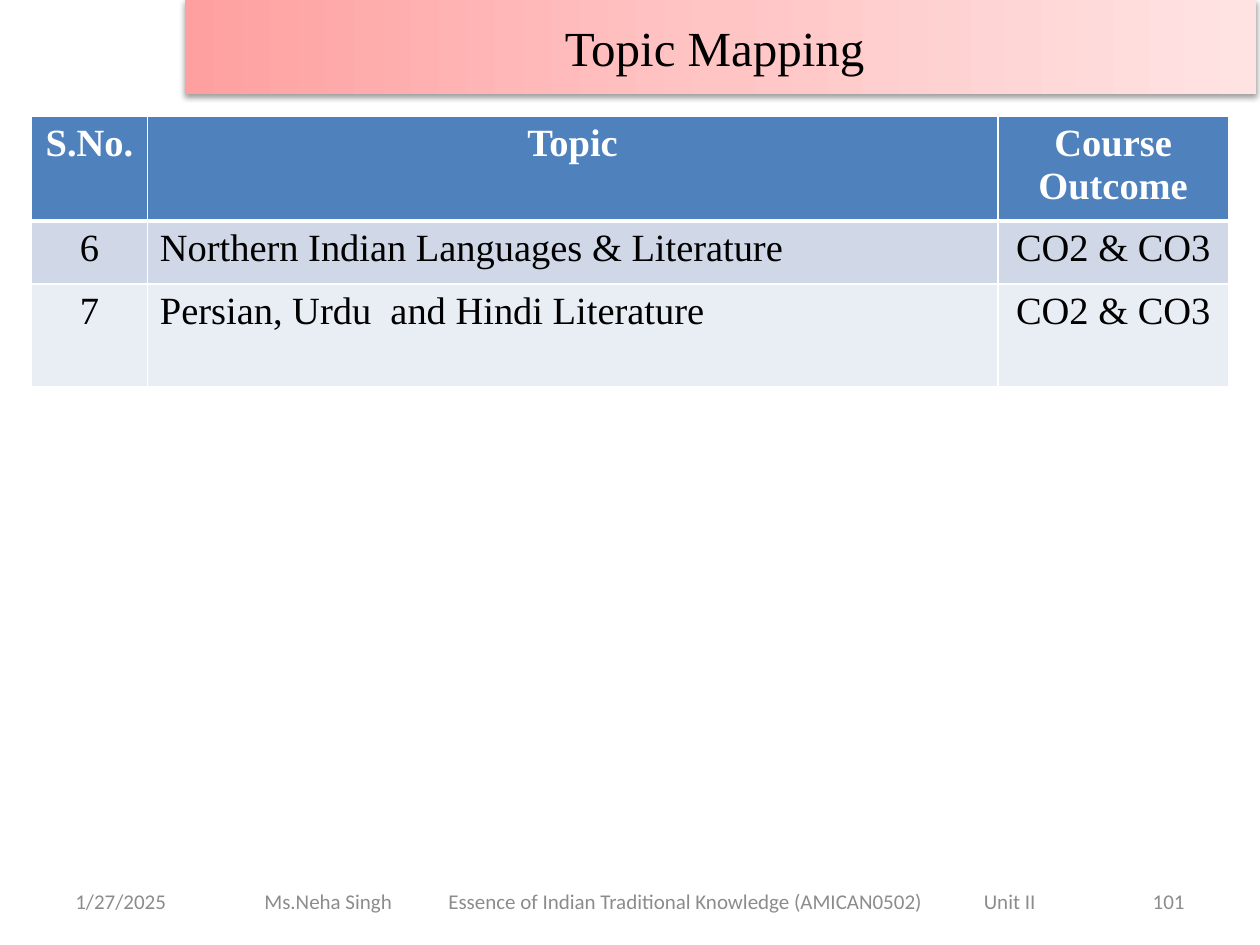
from pptx import Presentation
from pptx.dml.color import RGBColor
from pptx.enum.text import MSO_ANCHOR, MSO_AUTO_SIZE, PP_ALIGN
from pptx.oxml import parse_xml
from pptx.oxml.ns import nsdecls
from pptx.util import Inches, Pt

BLACK = RGBColor(0x00, 0x00, 0x00)
WHITE = RGBColor(0xFF, 0xFF, 0xFF)
GRAY = RGBColor(0x8C, 0x8C, 0x8C)
BLUE = RGBColor(0x4F, 0x81, 0xBD)
BAND_DARK = RGBColor(0xD0, 0xD8, 0xE8)
BAND_LIGHT = RGBColor(0xE9, 0xED, 0xF4)
BANNER_STOPS = [
    (0, RGBColor(0xFF, 0xA0, 0xA0)),
    (50, RGBColor(0xFF, 0xC5, 0xC5)),
    (100, RGBColor(0xFF, 0xE3, 0xE3)),
]

TITLE_FONT = {"name": "Times New Roman", "size": Pt(28)}
TABLE_FONT = {"name": "Times New Roman", "size": Pt(22)}
FOOTER_FONT = {"name": "Calibri", "size": Pt(12)}

COLUMN_WIDTHS = [0.92, 6.75, 1.83]
ROW_HEIGHTS = [0.82, 0.5, 0.82]
ROW_FILLS = [BLUE, BAND_DARK, BAND_LIGHT]
ROWS = [
    ["S.No.", "Topic", "Course Outcome"],
    ["6", "Northern Indian Languages & Literature", "CO2 & CO3"],
    ["7", "Persian, Urdu  and Hindi Literature ", "CO2 & CO3"],
]


def write_text(text_frame, text, alignment, font_format, color):
    text_frame.text = text
    paragraph = text_frame.paragraphs[0]
    paragraph.alignment = alignment
    for name, value in font_format.items():
        setattr(paragraph.font, name, value)
    paragraph.font.color.rgb = color
    return paragraph


def add_banner(slide, text):
    title = slide.shapes.title
    position = {"left": 1.47, "top": 0, "width": 8.5, "height": 0.75}
    for name, value in position.items():
        setattr(title, name, Inches(value))
    stops = "".join(
        f'<a:gs pos="{percent * 1000}"><a:srgbClr val="{color}"/></a:gs>'
        for percent, color in BANNER_STOPS
    )
    properties = title._element.spPr
    properties.append(parse_xml(
        f'<a:gradFill {nsdecls("a")} rotWithShape="1"><a:gsLst>{stops}</a:gsLst>'
        '<a:lin ang="0" scaled="0"/></a:gradFill>'
    ))
    properties.append(parse_xml(
        f'<a:effectLst {nsdecls("a")}>'
        f'<a:outerShdw blurRad="{Pt(3.1)}" dist="{Pt(1.6)}" dir="5400000" rotWithShape="0">'
        f'<a:srgbClr val="{BLACK}"><a:alpha val="38000"/></a:srgbClr>'
        '</a:outerShdw></a:effectLst>'
    ))
    text_frame = title.text_frame
    text_frame.auto_size = MSO_AUTO_SIZE.NONE
    text_frame.vertical_anchor = MSO_ANCHOR.MIDDLE
    write_text(text_frame, text, PP_ALIGN.CENTER, TITLE_FONT, BLACK)


def add_cell_borders(cell, bottom_width):
    properties = cell._tc.get_or_add_tcPr()
    widths = {"lnL": 1, "lnR": 1, "lnT": 1, "lnB": bottom_width}
    for index, (side, width) in enumerate(widths.items()):
        properties.insert(index, parse_xml(
            f'<a:{side} {nsdecls("a")} w="{Pt(width)}"><a:solidFill>'
            f'<a:srgbClr val="{WHITE}"/></a:solidFill></a:{side}>'
        ))


def add_topic_table(slide):
    table = slide.shapes.add_table(
        len(ROWS), len(COLUMN_WIDTHS), Inches(0.25), Inches(0.92),
        Inches(sum(COLUMN_WIDTHS)), Inches(sum(ROW_HEIGHTS)),
    ).table
    for column, width in zip(table.columns, COLUMN_WIDTHS):
        column.width = Inches(width)
    for row_index, texts in enumerate(ROWS):
        table.rows[row_index].height = Inches(ROW_HEIGHTS[row_index])
        is_header = row_index == 0
        for column_index, text in enumerate(texts):
            cell = table.cell(row_index, column_index)
            cell.fill.solid()
            cell.fill.fore_color.rgb = ROW_FILLS[row_index]
            is_topic = column_index == 1 and not is_header
            write_text(
                cell.text_frame, text,
                PP_ALIGN.JUSTIFY if is_topic else PP_ALIGN.CENTER,
                {**TABLE_FONT, "bold": is_header},
                WHITE if is_header else BLACK,
            )
            add_cell_borders(cell, 3 if is_header else 1)


def add_footer(slide, left, width, text, alignment, tab_stops=()):
    box = slide.shapes.add_textbox(Inches(left), Inches(6.95), Inches(width), Inches(0.4))
    text_frame = box.text_frame
    text_frame.word_wrap = True
    text_frame.vertical_anchor = MSO_ANCHOR.MIDDLE
    paragraph = write_text(text_frame, text, alignment, FOOTER_FONT, GRAY)
    if tab_stops:
        tabs = "".join(f'<a:tab pos="{Inches(stop)}" algn="l"/>' for stop in tab_stops)
        properties = paragraph._p.get_or_add_pPr()
        properties.insert(0, parse_xml(f'<a:tabLst {nsdecls("a")}>{tabs}</a:tabLst>'))


def main():
    presentation = Presentation()
    presentation.slide_width = Inches(10)
    presentation.slide_height = Inches(7.5)
    slide = presentation.slides.add_slide(presentation.slide_layouts[5])
    add_footer(slide, 0.5, 2.33, "1/27/2025", PP_ALIGN.LEFT)
    add_footer(
        slide, 1.75, 6.83,
        "\tMs.Neha Singh\tEssence of Indian Traditional Knowledge (AMICAN0502)\tUnit II",
        PP_ALIGN.LEFT, [0.25, 1.71, 5.96],
    )
    add_footer(slide, 7.17, 2.33, "101", PP_ALIGN.RIGHT)
    add_banner(slide, "Topic Mapping ")
    add_topic_table(slide)
    presentation.save("out.pptx")


if __name__ == "__main__":
    main()
